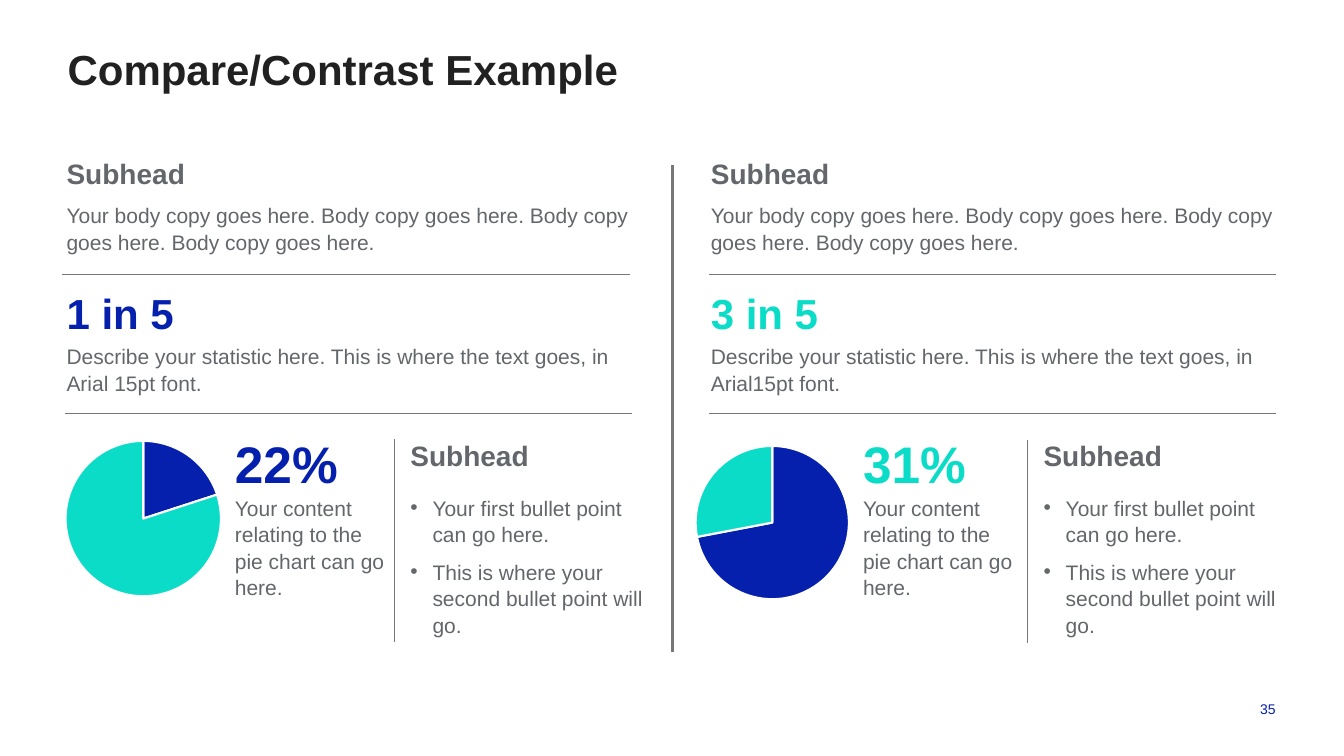
from lxml import etree
from pptx import Presentation
from pptx import util as u
from pptx.chart.data import CategoryChartData
from pptx.dml.color import RGBColor
from pptx.enum import chart as charts, shapes, text
from pptx.oxml import parse_xml
from pptx.oxml.ns import nsdecls, qn

FONT = "Arial"
COLORS = {
    "ink": "212121",
    "gray": "63666A",
    "rule": "777777",
    "blue": "0420AC",
    "teal": "0BDCC7",
    "white": "FFFFFF",
}
BODY_COPY = "Your body copy goes here. " + " ".join(["Body copy goes here."] * 3)
PIE_COPY = "Your content relating to the pie chart can go here."
BULLETS = [
    "Your first bullet point can go here.",
    "This is where your second bullet point will go.",
]

# Positions that differ between the two halves
COLUMNS = [
    dict(left=0.66, accent="blue", stat="1 in 5", percent="22%",
         stat_copy="Describe your statistic here. This is where the text goes, in Arial 15pt font.",
         rules=[(0.62, 2.72), (0.64, 4.1)], divider=(3.91, 4.36),
         pie_text=(2.33, 1.54), bullets=(4.07, 2.34),
         pie=(-0.12, 4.15, 3.35, 1.81), plot=(0.23, 0.12, 0.46, 0.86), values=(20, 80)),
    dict(left=7.05, accent="teal", stat="3 in 5", percent="31%",
         stat_copy="Describe your statistic here. This is where the text goes, in Arial15pt font.",
         rules=[(7.03, 2.72), (7.03, 4.1)], divider=(10.19, 4.37),
         pie_text=(8.56, 1.57), bullets=(10.35, 2.32),
         pie=(6.73, 4.28, 1.86, 1.81), plot=(0.09, 0.08, 0.82, 0.84), values=(72, 28)),
]


def rgb(name):
    return RGBColor.from_string(COLORS[name])


def add_bullet(para):
    props = para._p.get_or_add_pPr()
    props.set("marL", str(u.Inches(0.22)))
    props.set("indent", str(-u.Inches(0.22)))
    etree.SubElement(props, qn("a:buFont")).set("typeface", FONT)
    etree.SubElement(props, qn("a:buChar")).set("char", "•")


def add_text(page, place, lines, size, color="gray", bold=False, bullets=False,
             spacing=1.05, align=text.PP_ALIGN.LEFT, anchor=text.MSO_ANCHOR.TOP, inset=0):
    box = page.shapes.add_textbox(*map(u.Inches, place))
    frame = box.text_frame
    frame.word_wrap = True
    frame.vertical_anchor = anchor
    frame.margin_left = frame.margin_right = u.Inches(inset)
    frame.margin_top = frame.margin_bottom = u.Inches(inset / 2)
    for index, line in enumerate(lines):
        para = frame.paragraphs[0] if index == 0 else frame.add_paragraph()
        para.alignment = align
        para.line_spacing = spacing
        if bullets:
            para.space_before = u.Pt(8)
            add_bullet(para)
        span = para.add_run()
        span.text = line
        span.font.name = FONT
        span.font.size = u.Pt(size)
        span.font.bold = bold
        span.font.color.rgb = rgb(color)


def add_rule(page, start, end, width=0.75):
    rule = page.shapes.add_connector(
        shapes.MSO_CONNECTOR.STRAIGHT, *map(u.Inches, start + end))
    rule.line.color.rgb = rgb("rule")
    rule.line.width = u.Pt(width)
    etree.SubElement(rule._element.spPr, qn("a:effectLst"))


def add_pie(page, place, plot_area, values):
    data = CategoryChartData()
    data.categories = ["1", "2"]
    data.add_series("Series 1", values)
    pie = page.shapes.add_chart(
        charts.XL_CHART_TYPE.PIE, *map(u.Inches, place), data).chart
    pie.has_legend = False
    pie.has_title = False
    pie.font.name = FONT
    pie.font.size = u.Pt(10)
    pie.font.color.rgb = rgb("ink")
    plot = pie.plots[0]
    plot.vary_by_categories = True
    for index, color in enumerate(["blue", "teal"]):
        slice_format = plot.series[0].points[index].format
        slice_format.fill.solid()
        slice_format.fill.fore_color.rgb = rgb(color)
        slice_format.line.color.rgb = rgb("white")
        slice_format.line.width = u.Pt(1.5)
    # Fix the inner plot area
    modes = '<c:layoutTarget val="inner"/><c:xMode val="edge"/><c:yMode val="edge"/>'
    sizes = "".join(f'<c:{key} val="{value}"/>' for key, value in zip("xywh", plot_area))
    area = pie._chartSpace.chart.plotArea
    for layout in area.findall(qn("c:layout")):
        area.remove(layout)
    area.insert(0, parse_xml(
        f'<c:layout {nsdecls("c")}><c:manualLayout>{modes}{sizes}</c:manualLayout></c:layout>'))


def add_column(page, column):
    left, accent = column["left"], column["accent"]
    # Introduction and statistic
    add_text(page, (left, 1.54, 5.62, 0.41), ["Subhead"], 20, bold=True)
    add_text(page, (left, 2, 5.62, 0.61), [BODY_COPY], 15)
    add_text(page, (left, 2.83, 5.62, 0.57), [column["stat"]], 30, accent, bold=True)
    add_text(page, (left, 3.4, 5.62, 0.61), [column["stat_copy"]], 15)
    # Pie chart with its figure
    add_pie(page, column["pie"], column["plot"], column["values"])
    text_left, text_width = column["pie_text"]
    add_text(page, (text_left, 4.26, text_width, 0.57), [column["percent"]], 36.7, accent, bold=True)
    add_text(page, (text_left, 4.9, text_width, 1.28), [PIE_COPY], 15)
    # Bullet list
    list_left, list_width = column["bullets"]
    add_text(page, (list_left, 4.33, list_width, 0.44), ["Subhead"], 20, bold=True)
    add_text(page, (list_left, 4.9, list_width, 1.28), BULLETS, 15, bullets=True)
    # Rules
    for x, y in column["rules"]:
        add_rule(page, (x, y), (x + 5.63, y))
    x, y = column["divider"]
    add_rule(page, (x, y + 2.01), (x, y))


def main():
    deck = Presentation()
    deck.slide_width, deck.slide_height = u.Inches(13.33), u.Inches(7.5)
    page = deck.slides.add_slide(deck.slide_layouts[6])
    add_text(page, (0.67, 0.41, 11.09, 0.5), ["Compare/Contrast Example"], 30, "ink", bold=True)
    for column in COLUMNS:
        add_column(page, column)
    add_rule(page, (6.67, 1.64), (6.67, 6.47), 1.5)
    add_text(page, (12.25, 6.85, 0.5, 0.36), ["35"], 10, "blue", spacing=1,
             align=text.PP_ALIGN.RIGHT, anchor=text.MSO_ANCHOR.MIDDLE, inset=0.1)
    deck.save("out.pptx")


if __name__ == "__main__":
    main()
